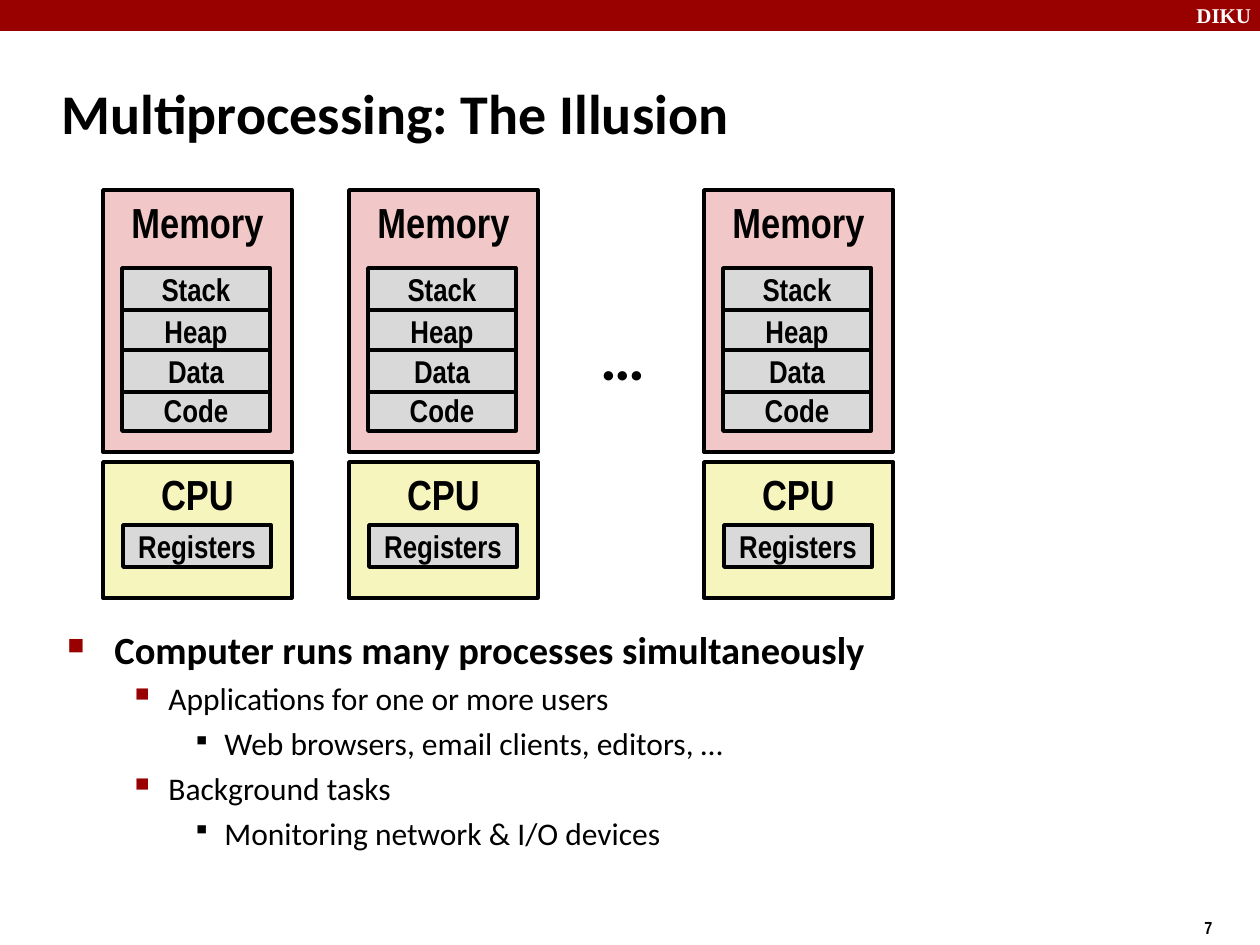
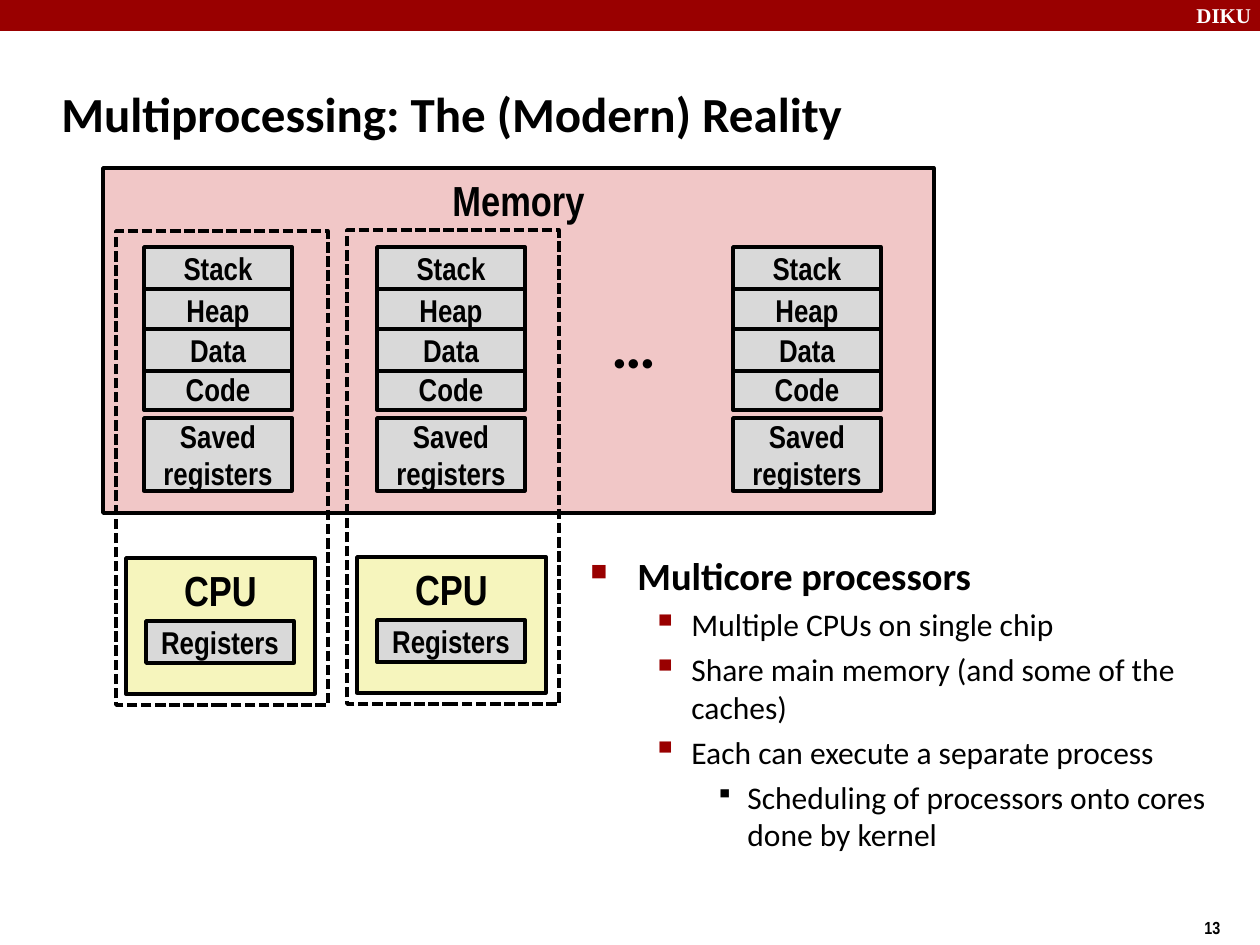
"""Build two slides on multiprocessing: the illusion and the modern reality."""
from lxml import etree
from pptx import Presentation
from pptx.dml.color import RGBColor
from pptx.enum.dml import MSO_LINE
from pptx.enum.shapes import MSO_SHAPE
from pptx.enum.text import MSO_ANCHOR, PP_ALIGN
from pptx.oxml.ns import qn
from pptx.util import Emu, Pt

RECT = MSO_SHAPE.RECTANGLE
DASH = MSO_LINE.SQUARE_DOT
TOP, MIDDLE = MSO_ANCHOR.TOP, MSO_ANCHOR.MIDDLE
LEFT, CENTER = PP_ALIGN.LEFT, PP_ALIGN.CENTER

RED = RGBColor(0x99, 0x00, 0x00)
PINK = RGBColor(0xF1, 0xC7, 0xC7)
CREAM = RGBColor(0xF6, 0xF5, 0xBD)
GREY = RGBColor(0xD9, 0xD9, 0xD9)
BLACK = RGBColor(0x00, 0x00, 0x00)
WHITE = RGBColor(0xFF, 0xFF, 0xFF)

SCALE = 914400 / 126
WIDE, HIGH = 1260, 945
CPU_W, CPU_H = 189, 136
MEM_H = 262
CELL_W, CELL_H = 148, 42
SAVED_Y, SAVED_H = 171, 73
FRAME_W, FRAME_H = 212, 474

FONTS = {
    "head": {"name": "Arial Narrow", "size": Pt(24), "bold": True},
    "cell": {"name": "Arial Narrow", "size": Pt(18), "bold": True},
    "page": {"name": "Arial Narrow", "size": Pt(10), "bold": True},
    "mark": {"name": "Times New Roman", "size": Pt(12), "bold": True},
    "dots": {"name": "Calibri", "size": Pt(36), "bold": True},
    "large": {"name": "Calibri", "size": Pt(32), "bold": True},
    "title": {"name": "Calibri", "size": Pt(28), "bold": True},
    "main": {"name": "Calibri", "size": Pt(22), "bold": True},
    "sub": {"name": "Calibri", "size": Pt(18), "bold": False},
}

LEVELS = [
    {"font": "main", "margin": 48, "hang": 47, "gap": 4.8,
     "char": "■", "color": RED, "size": 60},
    {"font": "sub", "margin": 102, "hang": 39, "gap": 4,
     "char": "▪", "color": RED, "size": 110},
    {"font": "sub", "margin": 158, "hang": 32, "gap": 4,
     "char": "▪", "color": BLACK, "size": 80},
]

ROWS = [("Stack", 0), ("Heap", 42), ("Code", 121), ("Data", 82)]

ILLUSION = {
    "title": "Multiprocessing: The Illusion",
    "font": "large",
    "page": "7",
    "dots": (588, 311),
    "body": (54, 620, 1089, 272),
    "points": [
        (0, "Computer runs many processes simultaneously"),
        (1, "Applications for one or more users"),
        (2, "Web browsers, email clients, editors, …"),
        (1, "Background tasks"),
        (2, "Monitoring network & I/O devices"),
    ],
}
REALITY = {
    "title": "Multiprocessing: The (Modern) Reality",
    "font": "title",
    "page": "13",
    "dots": (599, 299),
    "body": (577, 546, 651, 368),
    "points": [
        (0, "Multicore processors"),
        (1, "Multiple CPUs on single chip"),
        (1, "Share main memory (and some of the caches)"),
        (1, "Each can execute a separate process"),
        (2, "Scheduling of processors onto cores done by kernel"),
    ],
}
HOSTS = [103, 349, 704]
STACKS = [144, 377, 733]
FRAMES = [(116, 231), (347, 230)]


def px(num):
    return Emu(round(num * SCALE))


def put(para, text, font, color=BLACK):
    run = para.add_run()
    run.text = text
    for key, value in FONTS[font].items():
        setattr(run.font, key, value)
    run.font.color.rgb = color


def label(slide, area, text, font, color=BLACK, anchor=TOP):
    frame = slide.shapes.add_textbox(*map(px, area)).text_frame
    frame.word_wrap = True
    frame.vertical_anchor = anchor
    put(frame.paragraphs[0], text, font, color)


def box(slide, area, fill=None, text="", font="cell", anchor=MIDDLE, line=BLACK):
    shape = slide.shapes.add_shape(RECT, *map(px, area))
    shape.shadow.inherit = False
    if fill is None:
        shape.fill.background()
    else:
        shape.fill.solid()
        shape.fill.fore_color.rgb = fill
    if line is None:
        shape.line.fill.background()
    else:
        shape.line.color.rgb = line
        shape.line.width = Pt(2)
    if text:
        frame = shape.text_frame
        frame.word_wrap = True
        frame.vertical_anchor = anchor
        para = frame.paragraphs[0]
        para.alignment = CENTER
        put(para, text, font)
    return shape


def bullet(para, style):
    props = para._p.get_or_add_pPr()
    props.set("marL", str(px(style["margin"])))
    props.set("indent", str(-px(style["hang"])))
    color = etree.SubElement(props, qn("a:buClr"))
    etree.SubElement(color, qn("a:srgbClr"), val=str(style["color"]))
    etree.SubElement(props, qn("a:buSzPct"), val=str(style["size"] * 1000))
    etree.SubElement(props, qn("a:buChar"), char=style["char"])


def points(slide, area, items):
    frame = slide.shapes.add_textbox(*map(px, area)).text_frame
    frame.word_wrap = True
    for i, (level, text) in enumerate(items):
        para = frame.add_paragraph() if i else frame.paragraphs[0]
        style = LEVELS[level]
        para.level = level
        para.alignment = LEFT
        bullet(para, style)
        if i:
            para.space_before = Pt(style["gap"])
        put(para, text, style["font"])


def base(deck, data):
    slide = deck.slides.add_slide(deck.slide_layouts[6])
    box(slide, (0, 0, WIDE, 31), RED, line=None)
    label(slide, (1184, -4, 85, 38), "DIKU", "mark", WHITE)
    label(slide, (1192, 911, 95, 34), data["page"], "page")
    label(slide, (49, 60, 1169, 105), data["title"], data["font"], anchor=MIDDLE)
    points(slide, data["body"], data["points"])
    return slide


def stack(slide, x, y):
    for name, down in ROWS:
        box(slide, (x, y + down, CELL_W, CELL_H), GREY, name)


def cpu(slide, x, y):
    box(slide, (x, y, CPU_W, CPU_H), CREAM, "CPU", "head", TOP)
    box(slide, (x + 20, y + 63, CELL_W, CELL_H), GREY, "Registers")


def dots(slide, data):
    label(slide, (*data["dots"], 69, 88), "…", "dots")


def illusion(deck):
    slide = base(deck, ILLUSION)
    for x in HOSTS:
        cpu(slide, x, 462)
        box(slide, (x, 190, CPU_W, MEM_H), PINK, "Memory", "head", TOP)
        stack(slide, x + 19, 268)
    dots(slide, ILLUSION)


def reality(deck):
    slide = base(deck, REALITY)
    box(slide, (103, 168, 831, 345), PINK, "Memory", "head", TOP)
    for x in STACKS:
        stack(slide, x, 247)
        box(slide, (x, 247 + SAVED_Y, CELL_W, SAVED_H), GREY, "Saved registers")
    dots(slide, REALITY)
    for x, y in FRAMES:
        cpu(slide, x + 10, y + 327)
        box(slide, (x, y, FRAME_W, FRAME_H)).line.dash_style = DASH


def main():
    deck = Presentation()
    deck.slide_width, deck.slide_height = px(WIDE), px(HIGH)
    illusion(deck)
    reality(deck)
    deck.save("out.pptx")


if __name__ == "__main__":
    main()
